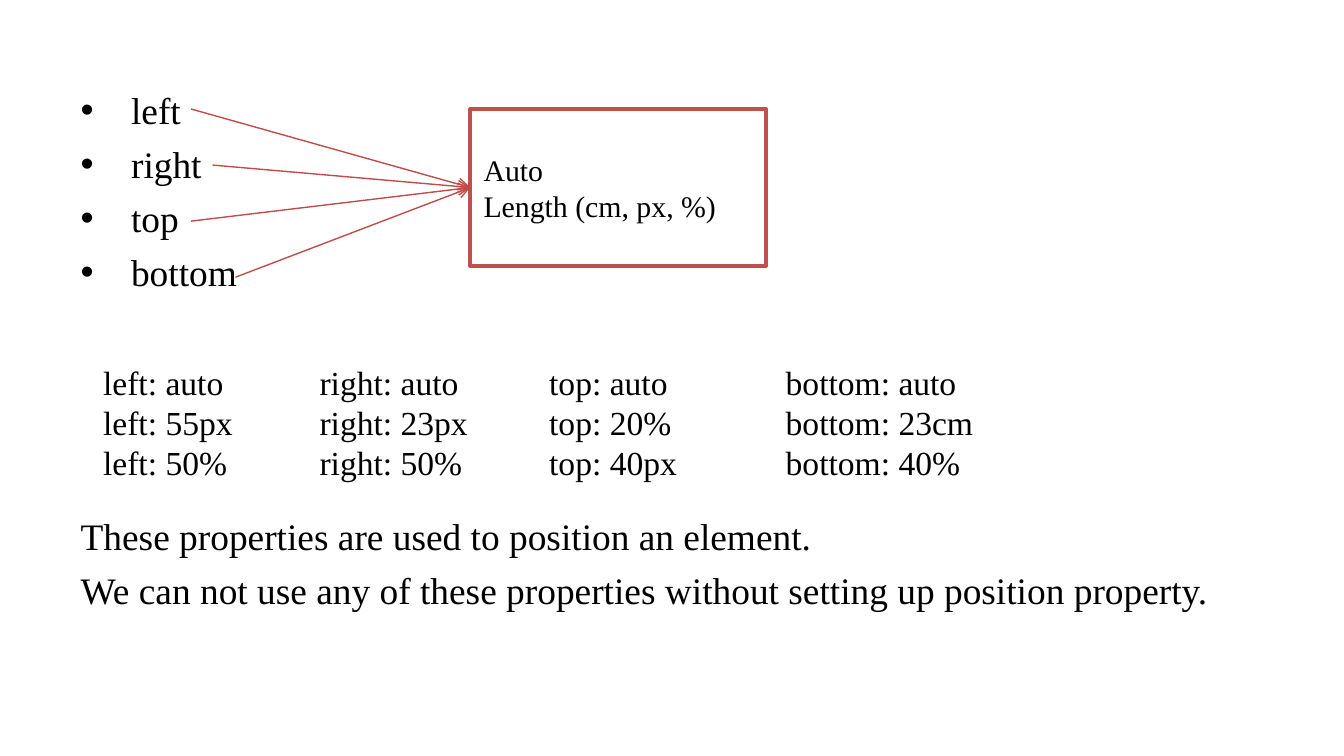
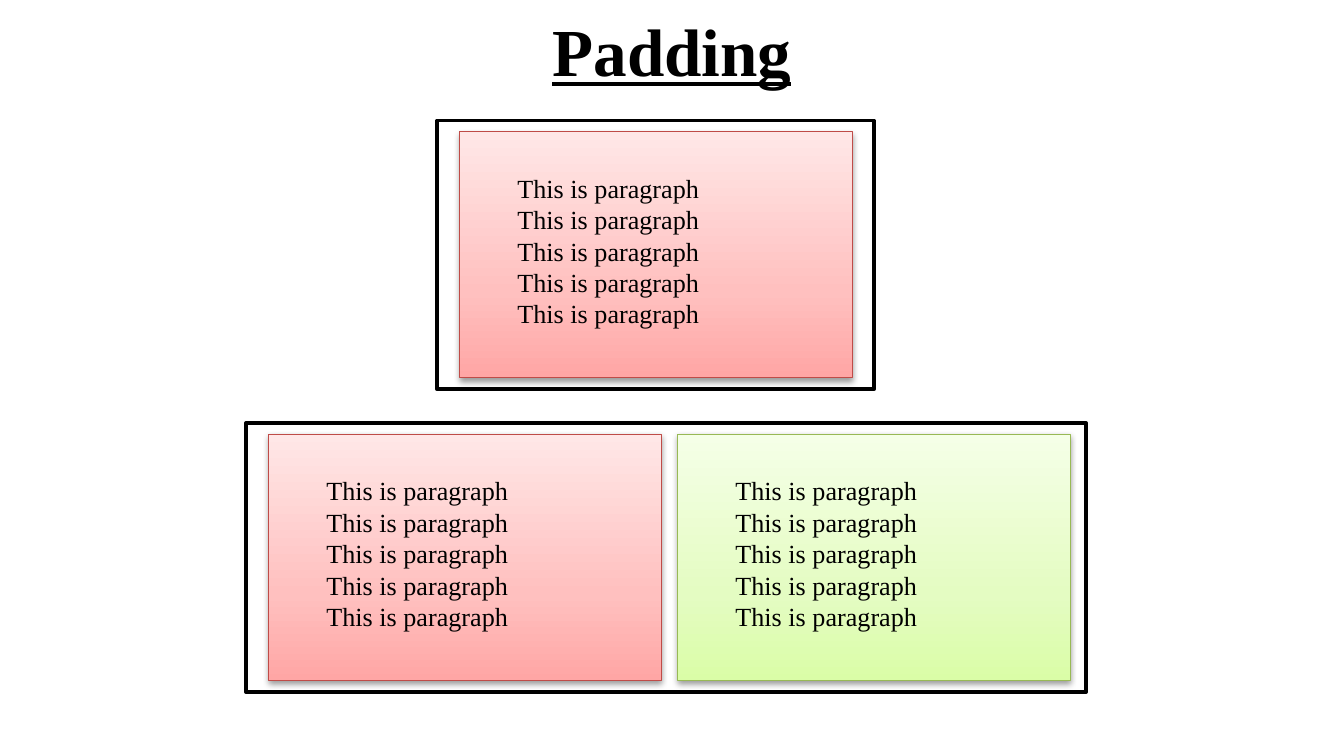
"""Build two slides on CSS position offsets and padding."""
from lxml.etree import SubElement
from pptx import Presentation
from pptx.dml.color import RGBColor
from pptx.enum.shapes import MSO_CONNECTOR, MSO_SHAPE
from pptx.enum.text import MSO_ANCHOR, MSO_AUTO_SIZE, PP_ALIGN
from pptx.oxml.ns import qn
from pptx.util import Cm, Pt

FONT = "Times New Roman"
BLACK = RGBColor(0x00, 0x00, 0x00)
WHITE = RGBColor(0xFF, 0xFF, 0xFF)
BOX_RED = RGBColor(0xC0, 0x50, 0x4D)
RED = RGBColor(0xBF, 0x4C, 0x48)
GREEN = RGBColor(0x98, 0xB9, 0x55)
RED_STOPS = (RGBColor(0xFF, 0xA6, 0xA5), RGBColor(0xFF, 0xC0, 0xBF), RGBColor(0xFF, 0xE7, 0xE7))
GREEN_STOPS = (RGBColor(0xDA, 0xFD, 0xA7), RGBColor(0xE4, 0xFC, 0xC2), RGBColor(0xF5, 0xFF, 0xE7))
STOP_POSITIONS = (0, 35, 100)
RED_CARD = (RED, RED_STOPS)
GREEN_CARD = (GREEN, GREEN_STOPS)

CARD_WIDTH, CARD_HEIGHT = 7.42, 4.65
CARD_PITCH = 7.73
FRAME_HEIGHT = 5.08

PROPERTIES = ("left", "right", "top", "bottom")
ARROW_STARTS = (3.61, 4.02, 3.61, 4.45)
STATEMENTS = (
    "These properties are used to position an element.",
    "We can not use any of these properties without setting up position property.",
)
EXAMPLES = (
    (1.7, 3.0, ("auto", "55px", "50%")),
    (5.79, 3.35, ("auto", "23px", "50%")),
    (10.13, 2.97, ("auto", "20%", "40px")),
    (14.6, 4.09, ("auto", "23cm", "40%")),
)


def place(shape, left, top, width, height):
    """Move and size a shape, in centimetres."""
    shape.left, shape.top = Cm(left), Cm(top)
    shape.width, shape.height = Cm(width), Cm(height)


def format_text(text_frame, size, align=PP_ALIGN.LEFT, bold=False, underline=False):
    """Give all runs of a text frame one look."""
    for paragraph in text_frame.paragraphs:
        paragraph.alignment = align
        for run in paragraph.runs:
            font = run.font
            font.name, font.size = FONT, Pt(size)
            font.bold, font.underline = bold, underline
            font.color.rgb = BLACK


def add_text(slide, left, top, width, height, lines, size):
    """Add an unwrapped text box with one paragraph per line."""
    text_frame = slide.shapes.add_textbox(Cm(left), Cm(top), Cm(width), Cm(height)).text_frame
    text_frame.text = "\n".join(lines)
    text_frame.word_wrap = False
    text_frame.auto_size = MSO_AUTO_SIZE.SHAPE_TO_FIT_TEXT
    format_text(text_frame, size)


def add_box(slide, left, top, width, height, line_color, line_width=2):
    """Add a white rectangle with a coloured outline."""
    box = slide.shapes.add_shape(
        MSO_SHAPE.RECTANGLE, Cm(left), Cm(top), Cm(width), Cm(height))
    box.shadow.inherit = False
    box.fill.solid()
    box.fill.fore_color.rgb = WHITE
    box.line.color.rgb = line_color
    box.line.width = Pt(line_width)
    return box


def set_gradient(shape, colors):
    """Fill a shape with a gradient that runs from bottom to top."""
    shape.fill.gradient()
    shape.fill.gradient_angle = 90
    stops = shape._element.spPr.find(".//" + qn("a:gsLst"))
    for stop in list(stops):
        stops.remove(stop)
    for position, color in zip(STOP_POSITIONS, colors):
        stop = SubElement(stops, qn("a:gs"), pos=str(position * 1000))
        SubElement(stop, qn("a:srgbClr"), val=str(color))


def set_shadow(shape):
    """Add a soft black shadow below a shape."""
    effects = shape._element.spPr.find(qn("a:effectLst"))
    shadow = SubElement(effects, qn("a:outerShdw"), blurRad="40000", dist="20000",
                        dir="5400000", rotWithShape="0")
    color = SubElement(shadow, qn("a:srgbClr"), val=str(BLACK))
    SubElement(color, qn("a:alpha"), val="38000")


def add_card(slide, left, top, line_color, colors):
    """Add a gradient card that holds five paragraph lines."""
    card = add_box(slide, left, top, CARD_WIDTH, CARD_HEIGHT, line_color, 0.75)
    set_gradient(card, colors)
    set_shadow(card)
    add_text(slide, left + 0.84, top + 0.64, 3.99, 3.25, ["This is paragraph"] * 5, 14)


def add_card_frame(slide, left, top, width, cards):
    """Add a black frame with a row of cards inside."""
    add_box(slide, left, top, width, FRAME_HEIGHT, BLACK)
    for index, (line_color, colors) in enumerate(cards):
        add_card(slide, left + 0.43 + index * CARD_PITCH, top + 0.21, line_color, colors)


def add_arrow(slide, left, top, target):
    """Draw an arrow from a point to the left side of a box."""
    arrow = slide.shapes.add_connector(
        MSO_CONNECTOR.STRAIGHT, Cm(left), Cm(top), target.left, target.top)
    arrow.end_connect(target, 1)
    arrow.line.color.rgb = RED
    arrow.line.width = Pt(0.75)
    properties = arrow._element.spPr
    SubElement(properties.find(qn("a:ln")), qn("a:tailEnd"), type="arrow")
    SubElement(properties, qn("a:effectLst"))


def fill_body(body):
    """Write the property bullets and the plain statements below them."""
    place(body, 1.27, 1.52, 22.86, 11.33)
    text_frame = body.text_frame
    text_frame.text = "\n".join(PROPERTIES + STATEMENTS)
    text_frame.auto_size = MSO_AUTO_SIZE.NONE
    paragraphs = text_frame.paragraphs
    for paragraph in paragraphs:
        paragraph.space_before = Pt(5)
    for paragraph in paragraphs[len(PROPERTIES):]:
        properties = paragraph._p.get_or_add_pPr()
        properties.set("marL", "0")
        properties.set("indent", "0")
        SubElement(properties, qn("a:buNone"))
    paragraphs[0].space_before = Pt(0)
    paragraphs[len(PROPERTIES)].space_before = Pt(117)
    format_text(text_frame, 20)


def build_position_slide(presentation):
    """Build the slide on left, right, top and bottom."""
    slide = presentation.slides.add_slide(presentation.slide_layouts[1])
    title = slide.shapes.title._element
    title.getparent().remove(title)
    fill_body(slide.placeholders[1])

    values_box = add_box(slide, 8.89, 2.06, 5.59, 2.97, BOX_RED)
    values_box.text_frame.text = "Auto\nLength (cm, px, %)"
    values_box.text_frame.vertical_anchor = MSO_ANCHOR.MIDDLE
    format_text(values_box.text_frame, 16)

    for index, left in enumerate(ARROW_STARTS):
        add_arrow(slide, left, 2.06 + index * 1.06, values_box)
    for name, (left, width, values) in zip(PROPERTIES, EXAMPLES):
        add_text(slide, left, 6.71, width, 2.57, [f"{name}: {value}" for value in values], 18)


def build_padding_slide(presentation):
    """Build the slide on padding."""
    slide = presentation.slides.add_slide(presentation.slide_layouts[5])
    title = slide.shapes.title
    place(title, 1.27, -0.25, 22.86, 2.39)
    title.text_frame.text = "Padding"
    title.text_frame.vertical_anchor = MSO_ANCHOR.MIDDLE
    format_text(title.text_frame, 36, PP_ALIGN.CENTER, bold=True, underline=True)
    add_card_frame(slide, 8.26, 2.28, 8.26, [RED_CARD])
    add_card_frame(slide, 4.65, 8.0, 15.88, [RED_CARD, GREEN_CARD])


def main():
    """Create and save the presentation."""
    presentation = Presentation()
    presentation.slide_width, presentation.slide_height = Cm(25.4), Cm(14.29)
    build_position_slide(presentation)
    build_padding_slide(presentation)
    presentation.save("out.pptx")


if __name__ == "__main__":
    main()
